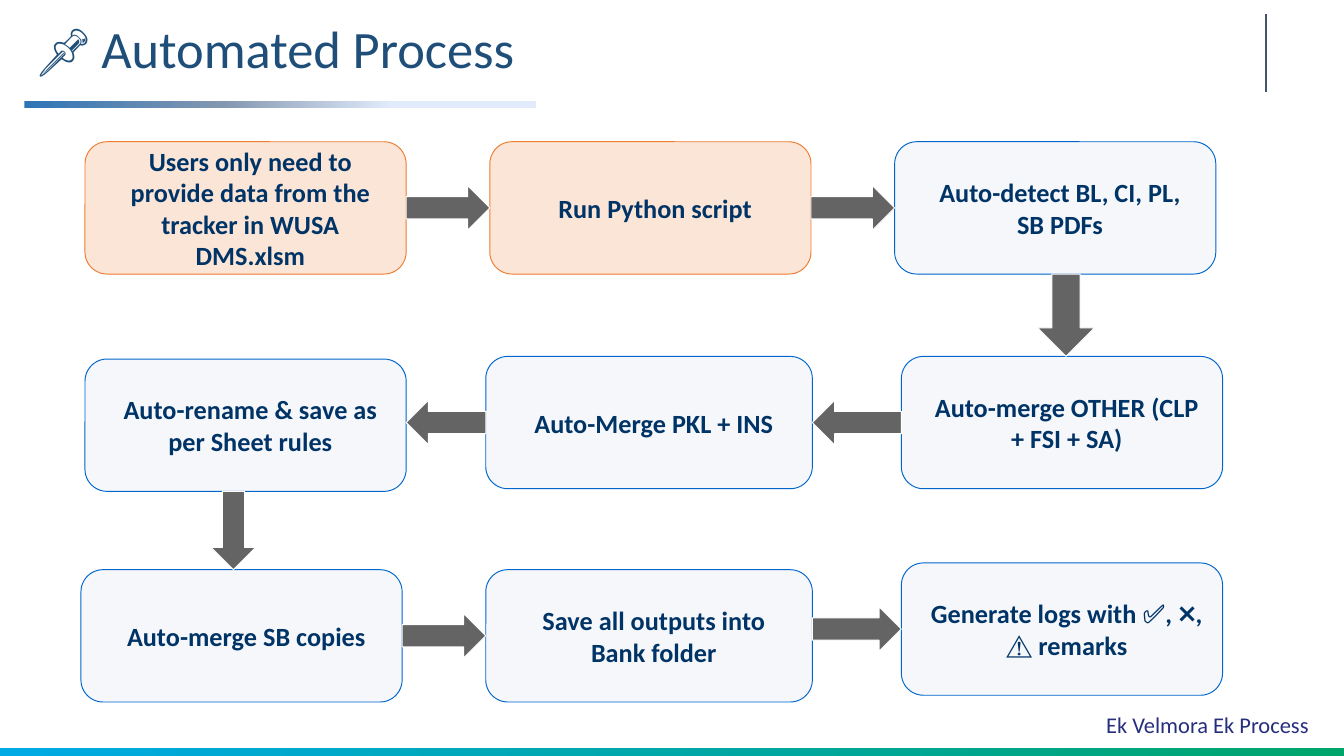
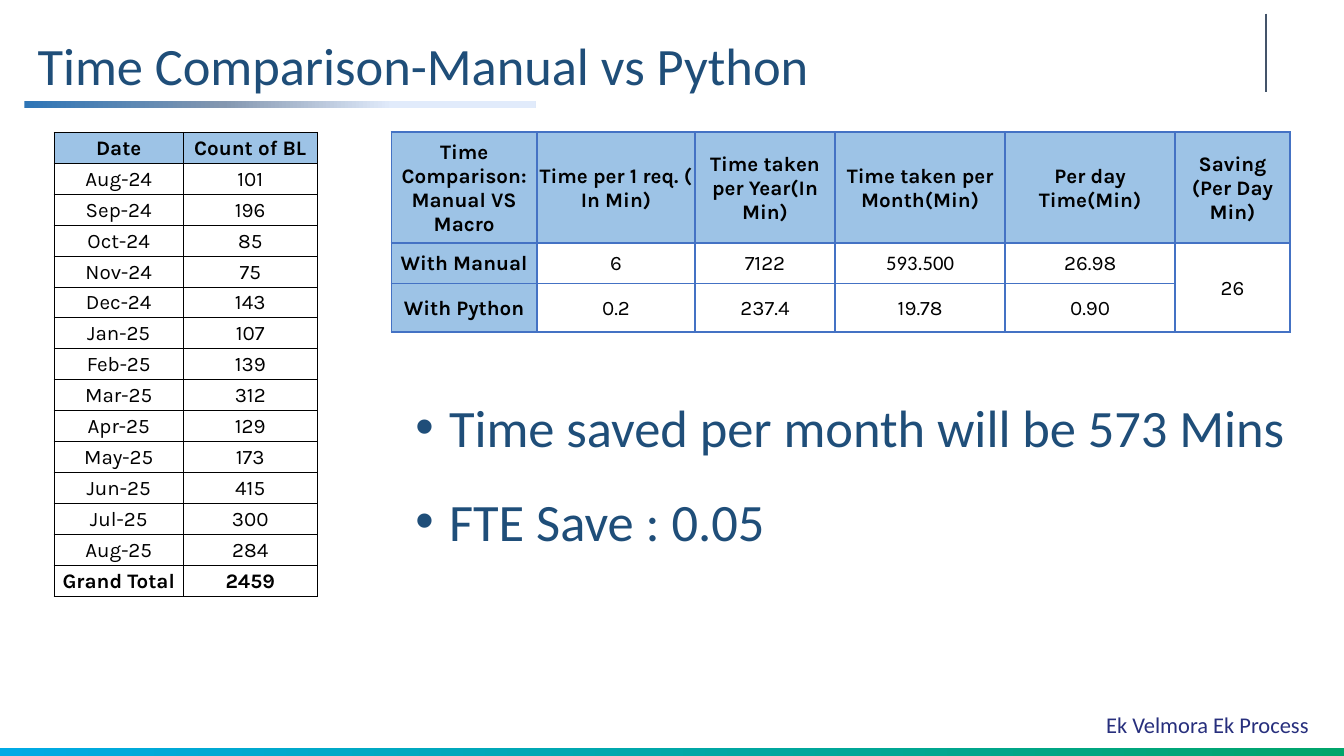
from dataclasses import dataclass
from itertools import pairwise

from lxml.etree import SubElement
from pptx import Presentation
from pptx.dml.color import RGBColor
from pptx.enum.shapes import MSO_CONNECTOR as CONN, MSO_SHAPE as SHAPE
from pptx.enum.text import MSO_ANCHOR as ANCHOR, PP_ALIGN as ALIGN
from pptx.oxml.ns import qn
from pptx.util import Inches, Pt


@dataclass(frozen=True)
class Theme:
    font: str = "Calibri"
    table_font: str = "Karla"
    title: str = "1F4E79"
    footer: str = "272F7D"
    rule: str = "44546A"
    step_text: str = "003366"
    arrow: str = "646464"
    white: str = "FFFFFF"
    black: str = "000000"
    head: str = "9DC3E6"
    grid: str = "4472C4"
    user_step: tuple = ("FBE5D6", "ED7D31")
    auto_step: tuple = ("F5F7FA", "0066CC")
    band: tuple = ((0, "00AAE5"), (100, "00A56B"))
    underline: tuple = ((0, "2E75B6"), (39, "8497B0"), (72, "E1EBFB"))
    title_size: int = 28
    step_size: int = 14
    footer_size: int = 12
    table_size: int = 11


T = Theme()
WIDTH, HEIGHT = 9.96, 5.6

# left, top and width within the flow, text, colours
STEPS = [
    (0.03, 0, 2.38, "Users only need to provide data from the tracker in WUSA DMS.xlsm",
     T.user_step),
    (3.03, 0, 2.38, "Run Python script", T.user_step),
    (6.03, 0, 2.38, "Auto-detect BL, CI, PL, SB PDFs", T.auto_step),
    (6.08, 1.59, 2.38, "Auto-merge OTHER (CLP + FSI + SA)", T.auto_step),
    (3, 1.59, 2.42, "Auto-Merge PKL + INS", T.auto_step),
    (0.03, 1.61, 2.38, "Auto-rename & save as per Sheet rules", T.auto_step),
    (0, 3.17, 2.38, "Auto-merge SB copies", T.auto_step),
    (3, 3.17, 2.42, "Save all outputs into Bank folder", T.auto_step),
    (6.08, 3.12, 2.38, "Generate logs with ✅, ❌, ⚠️ remarks", T.auto_step),
]
STEP_HEIGHT = 0.98
ARROW_THICK = 0.33
# step index before a turn: centre and thickness of its down arrow
TURNS = {2: (7.3, 0.42), 5: (1.13, ARROW_THICK)}

COUNTS = [
    ("Date", "Count of BL"), ("Aug-24", "101"), ("Sep-24", "196"), ("Oct-24", "85"),
    ("Nov-24", "75"), ("Dec-24", "143"), ("Jan-25", "107"), ("Feb-25", "139"),
    ("Mar-25", "312"), ("Apr-25", "129"), ("May-25", "173"), ("Jun-25", "415"),
    ("Jul-25", "300"), ("Aug-25", "284"), ("Grand Total", "2459"),
]
COMPARISON = [
    ("Time Comparison: Manual VS Macro", "Time per 1 req. ( In Min)",
     "Time taken per Year(In Min)", "Time taken per Month(Min)",
     "Per day Time(Min)", "Saving (Per Day Min)"),
    ("With Manual", "6", "7122", "593.500", "26.98", "26"),
    ("With Python", "0.2", "237.4", "19.78", "0.90", ""),
]


def rgb(color):
    return RGBColor.from_string(color)


def assign(obj, **values):
    for name, value in values.items():
        setattr(obj, name, value)


def margins(left, top, right, bottom):
    sides = zip(("left", "top", "right", "bottom"), (left, top, right, bottom))
    return {f"margin_{side}": Inches(value) for side, value in sides}


def write(p, text, size, color, font=T.font, bold=False, **layout):
    assign(p, **layout)
    r = p.add_run()
    r.text = text
    assign(r.font, size=Pt(size), name=font, bold=bold)
    r.font.color.rgb = rgb(color)


def add_text(s, box, **frame):
    tf = s.shapes.add_textbox(*map(Inches, box)).text_frame
    assign(tf, word_wrap=True, **frame)
    return tf


def add_shape(s, kind, box, fill=None, line=None):
    sp = s.shapes.add_shape(kind, *map(Inches, box))
    sp.shadow.inherit = False
    if fill:
        sp.fill.solid()
        sp.fill.fore_color.rgb = rgb(fill)
    if line:
        sp.line.color.rgb = rgb(line)
        sp.line.width = Pt(0.5)
    else:
        sp.line.fill.background()
    return sp


def add_gradient(s, box, stops):
    sp = add_shape(s, SHAPE.RECTANGLE, box)
    sp.fill.gradient()
    sp.fill.gradient_angle = 0
    stop_list = next(sp.element.iter(qn("a:gsLst")))
    stop_list.clear()
    for percent, color in stops:
        stop = SubElement(stop_list, qn("a:gs"), pos=str(percent * 1000))
        SubElement(stop, qn("a:srgbClr"), val=color)


def add_frame(prs, title, title_box):
    """Add a slide with the shared bands, rule, footer and title."""
    s = prs.slides.add_slide(prs.slide_layouts[6])
    add_gradient(s, (0, HEIGHT - 0.06, WIDTH, 0.06), T.band)
    rule = s.shapes.add_connector(CONN.STRAIGHT, *map(Inches, (9.38, 0.1, 9.38, 0.68)))
    rule.line.color.rgb = rgb(T.rule)
    rule.line.width = Pt(1)
    SubElement(rule.element.spPr, qn("a:effectLst"))
    tf = add_text(s, (7.41, 5.27, 2.29, 0.2), **margins(0, 0, 0, 0))
    write(tf.paragraphs[0], "Ek Velmora Ek Process", T.footer_size, T.footer,
          alignment=ALIGN.RIGHT)
    add_gradient(s, (0.18, 0.75, 3.79, 0.05), T.underline)
    tf = add_text(s, title_box, vertical_anchor=ANCHOR.MIDDLE)
    write(tf.paragraphs[0], title, T.title_size, T.title, line_spacing=0.9)
    return s


def add_step(s, box, text, colors):
    tf = add_shape(s, SHAPE.ROUNDED_RECTANGLE, box, *colors).text_frame
    assign(tf, word_wrap=True, vertical_anchor=ANCHOR.MIDDLE,
           **margins(0.17, 0.05, 0.1, 0.05))
    write(tf.paragraphs[0], text, T.step_size, T.step_text, bold=True,
          alignment=ALIGN.CENTER)


def add_arrow(s, x, y, length, thick, rotation):
    """Centre an arrow on x, y."""
    box = (x - length / 2, y - thick / 2, length, thick)
    add_shape(s, SHAPE.RIGHT_ARROW, box, T.arrow, T.white).rotation = rotation


def add_flow(s, left, top):
    """Draw the steps and join each one to the next."""
    boxes = []
    for x, y, width, text, colors in STEPS:
        boxes.append((left + x, top + y, width, STEP_HEIGHT))
        add_step(s, boxes[-1], text, colors)
    for i, (a, b) in enumerate(pairwise(boxes)):
        if i in TURNS:
            x, thick = TURNS[i]
            start, end = a[1] + STEP_HEIGHT, b[1]
            add_arrow(s, left + x, (start + end) / 2, end - start, thick, 90)
        else:
            first, second = sorted((a, b))
            start, end = first[0] + first[2], second[0]
            y = min(a[1], b[1]) + STEP_HEIGHT / 2
            add_arrow(s, (start + end) / 2, y, end - start, ARROW_THICK,
                      0 if a is first else 180)


def format_cell(cell, text, font, bold, filled, border, weight):
    tc_pr = cell._tc.get_or_add_tcPr()
    for side in ("lnL", "lnR", "lnT", "lnB"):
        ln = SubElement(tc_pr, qn(f"a:{side}"), w=str(Pt(weight)))
        SubElement(SubElement(ln, qn("a:solidFill")), qn("a:srgbClr"), val=border)
    if filled:
        cell.fill.solid()
        cell.fill.fore_color.rgb = rgb(T.head)
    else:
        cell.fill.background()
    assign(cell, vertical_anchor=ANCHOR.MIDDLE, **margins(0.01, 0.01, 0.01, 0))
    if text:
        write(cell.text_frame.paragraphs[0], text, T.table_size, T.black, font, bold,
              alignment=ALIGN.CENTER)


def add_grid(s, left, top, cols, heights, values, border, weight,
             head_col=False, total_row=False, fonts=None):
    """Draw a table; fonts maps a cell text to its own font."""
    box = (left, top, sum(cols), sum(heights))
    table = s.shapes.add_table(len(heights), len(cols), *map(Inches, box)).table
    assign(table, first_row=False, horz_banding=False)
    for col, width in zip(table.columns, cols):
        col.width = Inches(width)
    for i, (row, height, texts) in enumerate(zip(table.rows, heights, values)):
        row.height = Inches(height)
        total = total_row and i == len(heights) - 1
        for j, (cell, text) in enumerate(zip(row.cells, texts)):
            head = i == 0 or (head_col and j == 0)
            font = (fonts or {}).get(text, T.table_font)
            format_cell(cell, text, font, head or total, head, border, weight)
    return table


def add_bullets(s, box, lines):
    tf = add_text(s, box)
    for i, line in enumerate(lines):
        p = tf.add_paragraph() if i else tf.paragraphs[0]
        p_pr = p._p.get_or_add_pPr()
        p_pr.set("marL", str(Inches(0.25)))
        p_pr.set("indent", str(-Inches(0.25)))
        SubElement(p_pr, qn("a:buFont"), typeface="Arial")
        SubElement(p_pr, qn("a:buChar"), char="•")
        write(p, line, T.title_size, T.title, line_spacing=1.5)


def process_slide(prs):
    s = add_frame(prs, "📌 Automated Process", (0.18, 0.08, 7.8, 0.61))
    add_flow(s, 0.6, 1.05)


def comparison_slide(prs):
    s = add_frame(prs, "Time Comparison-Manual vs Python", (0.18, 0.05, 7.8, 0.91))
    table = add_grid(s, 2.9, 0.98, (1.08, 1.17, 1.04, 1.26, 1.26, 0.85),
                     (0.82, 0.3, 0.36), COMPARISON, T.grid, 1,
                     head_col=True, fonts={"593.500": T.font})
    table.cell(1, 5).merge(table.cell(2, 5))
    add_bullets(s, (2.98, 2.64, 6.75, 2.5),
                ("Time saved per month will be 573 Mins", "FTE Save : 0.05"))
    add_grid(s, 0.4, 0.98, (0.96, 0.99), [3.44 / len(COUNTS)] * len(COUNTS),
             COUNTS, T.black, 0.5, total_row=True)


def main():
    prs = Presentation()
    assign(prs, slide_width=Inches(WIDTH), slide_height=Inches(HEIGHT))
    process_slide(prs)
    comparison_slide(prs)
    prs.save("out.pptx")


if __name__ == "__main__":
    main()
